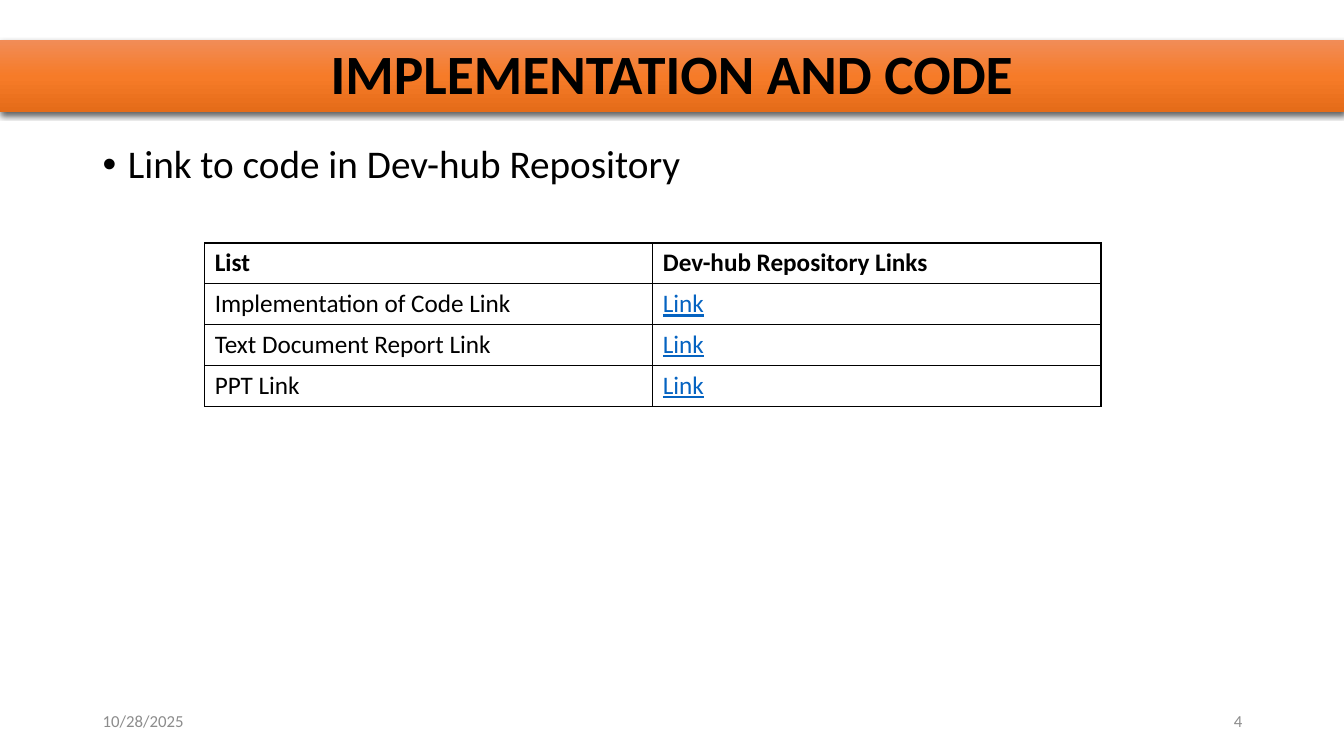
from dataclasses import dataclass

from lxml.etree import SubElement
from pptx import Presentation
from pptx.dml.color import RGBColor
from pptx.enum.shapes import MSO_SHAPE as Shape
from pptx.enum.text import MSO_ANCHOR as Anchor, PP_ALIGN as Align
from pptx.oxml import parse_xml
from pptx.oxml.ns import nsdecls, qn
from pptx.util import Inches, Pt


@dataclass(frozen=True)
class Theme:
    font: str = "Calibri"
    ink: str = "000000"
    muted: str = "8C8C8C"
    link: str = "0563C1"
    banner: tuple = ((0, "F18C57"), (50, "F67B28"), (100, "E56C19"))
    title_size: float = 39.6
    body_size: int = 28
    table_size: int = 18
    footer_size: int = 12
    border_width: int = 1


THEME = Theme()
HEADER = ("List", "Dev-hub Repository Links")
LINK_ROWS = (
    "Implementation of Code Link",
    "Text Document Report Link",
    "PPT Link",
)


def add_run(paragraph, text, size, color=THEME.ink, bold=False, underline=False):
    run = paragraph.add_run()
    run.text = text
    font = run.font
    font.name = THEME.font
    font.size = Pt(size)
    font.bold = bold
    font.underline = underline
    font.color.rgb = RGBColor.from_string(color)


def fill_banner(banner):
    """Give the banner its vertical gradient and soft lower shadow."""
    banner.fill.gradient()
    banner.fill.gradient_angle = 270
    stops = banner.fill._fill._gradFill.find(qn("a:gsLst"))
    stops.clear()
    for position, color in THEME.banner:
        stop = SubElement(stops, qn("a:gs"), pos=str(position * 1000))
        SubElement(stop, qn("a:srgbClr"), val=color)
    banner.line.fill.background()
    banner.shadow.inherit = False
    effects = banner._element.spPr.find(qn("a:effectLst"))
    effects.append(parse_xml(
        f'<a:outerShdw {nsdecls("a")} blurRad="{Pt(4.5)}" dist="{Pt(1.5)}" '
        'dir="5400000" algn="ctr" rotWithShape="0"><a:srgbClr val="000000">'
        '<a:alpha val="63000"/></a:srgbClr></a:outerShdw>'))


def add_title_banner(slide, title):
    banner = slide.shapes.add_shape(
        Shape.RECTANGLE, 0, Inches(0.4), Inches(13.33), Inches(0.71))
    fill_banner(banner)
    frame = banner.text_frame
    frame.word_wrap = True
    frame.vertical_anchor = Anchor.MIDDLE
    paragraph = frame.paragraphs[0]
    paragraph.alignment = Align.CENTER
    paragraph.line_spacing = 0.9
    add_run(paragraph, title, THEME.title_size, bold=True)


def add_text_box(slide, left, top, width, height, anchor=Anchor.TOP):
    """Add an empty wrapped text box and return its first paragraph."""
    box = slide.shapes.add_textbox(
        Inches(left), Inches(top), Inches(width), Inches(height))
    box.text_frame.word_wrap = True
    box.text_frame.vertical_anchor = anchor
    return box.text_frame.paragraphs[0]


def add_bullet(slide, text):
    paragraph = add_text_box(slide, 0.92, 1.39, 11.5, 5.37)
    paragraph.line_spacing = 0.9
    paragraph.space_before = Pt(10)
    properties = paragraph._p.get_or_add_pPr()
    properties.set("marL", str(Inches(0.25)))
    properties.set("indent", str(Inches(-0.25)))
    SubElement(properties, qn("a:buFont"), typeface="Arial")
    SubElement(properties, qn("a:buChar"), char="•")
    add_run(paragraph, text, THEME.body_size)


def add_footer(slide, left, text, align):
    paragraph = add_text_box(slide, left, 6.95, 3, 0.4, Anchor.MIDDLE)
    paragraph.alignment = align
    add_run(paragraph, text, THEME.footer_size, THEME.muted)


def style_cell(cell):
    cell.fill.background()
    properties = cell._tc.get_or_add_tcPr()
    for index, side in enumerate(("lnL", "lnR", "lnT", "lnB")):
        properties.insert(index, parse_xml(
            f'<a:{side} {nsdecls("a")} w="{Pt(THEME.border_width)}"><a:solidFill>'
            f'<a:srgbClr val="{THEME.ink}"/></a:solidFill></a:{side}>'))


def add_link_table(slide):
    rows = [HEADER] + [(label, "Link") for label in LINK_ROWS]
    table = slide.shapes.add_table(
        len(rows), len(HEADER), Inches(2.03), Inches(2.41),
        Inches(8.89), Inches(1.62)).table
    table.horz_banding = False
    for row_index, row in enumerate(rows):
        is_header = row_index == 0
        for column_index, text in enumerate(row):
            is_link = column_index == 1 and not is_header
            cell = table.cell(row_index, column_index)
            style_cell(cell)
            add_run(cell.text_frame.paragraphs[0], text, THEME.table_size,
                    THEME.link if is_link else THEME.ink,
                    bold=is_header, underline=is_link)


def main():
    deck = Presentation()
    deck.slide_width = Inches(13.33)
    deck.slide_height = Inches(7.5)
    slide = deck.slides.add_slide(deck.slide_layouts[6])
    add_title_banner(slide, "IMPLEMENTATION AND CODE")
    add_bullet(slide, "Link to code in Dev-hub Repository")
    add_footer(slide, 0.92, "10/28/2025", Align.LEFT)
    add_footer(slide, 9.42, "4", Align.RIGHT)
    add_link_table(slide)
    deck.save("out.pptx")


if __name__ == "__main__":
    main()
